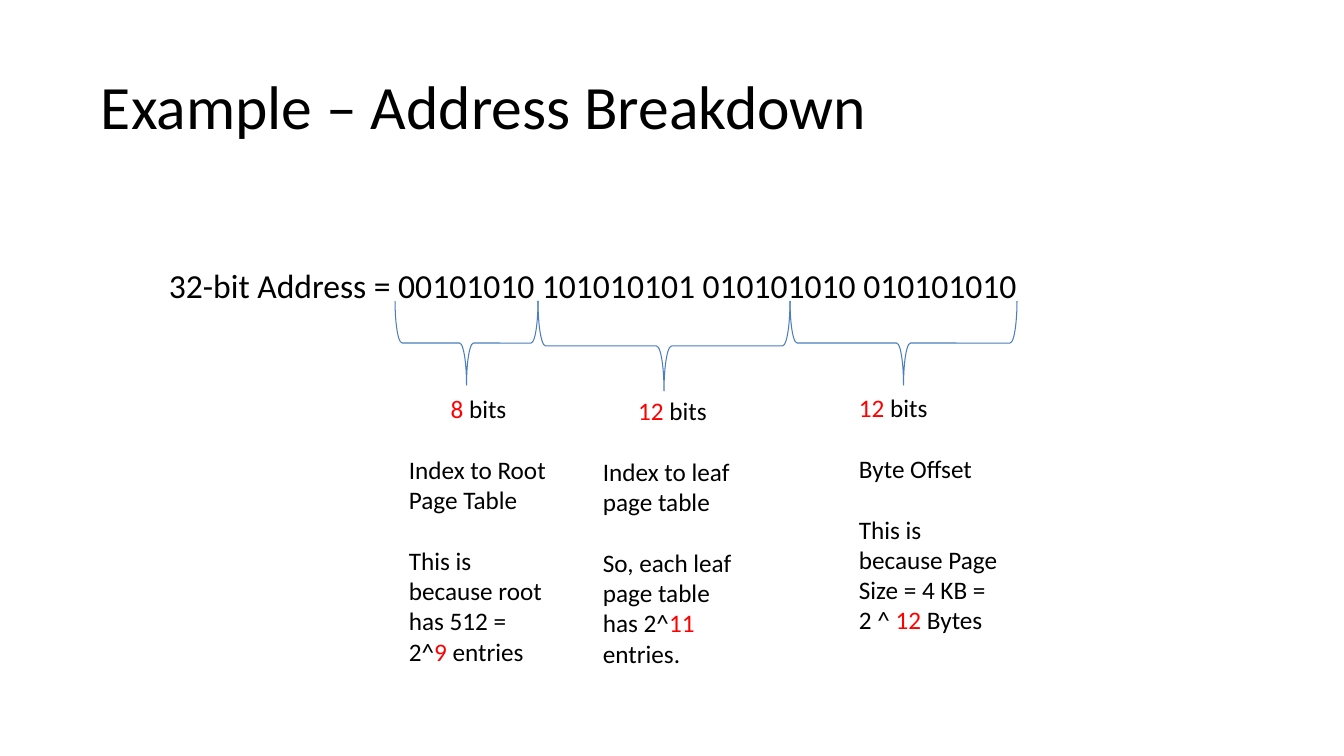
from dataclasses import dataclass

from pptx import Presentation
from pptx.dml.color import RGBColor
from pptx.enum.shapes import MSO_SHAPE
from pptx.enum.text import MSO_ANCHOR, PP_ALIGN
from pptx.util import Emu, Pt

BLACK = RGBColor(0x00, 0x00, 0x00)
RED = RGBColor(0xFF, 0x00, 0x00)
BLUE = RGBColor(0x4B, 0x7E, 0xBC)
FONT = "Calibri"
BRACE_TOP = 301
NOTE_WIDTH = 159
BLANK_LINE = Pt(22)


@dataclass(frozen=True)
class Span:
    text: str
    color: RGBColor = BLACK


@dataclass(frozen=True)
class Field:
    brace_left: int
    brace_width: int
    brace_height: int
    note_left: int
    note_top: int
    note_height: int
    bits: str
    bits_align: PP_ALIGN
    role: str
    reason: tuple[Span, ...]


FIELDS = (
    Field(395, 143, 84, 399, 388, 285, "8", PP_ALIGN.CENTER,
          "Index to Root Page Table",
          (Span("This is because root has 512 = 2^"), Span("9", RED),
           Span(" entries"))),
    Field(538, 252, 90, 593, 390, 285, "12", PP_ALIGN.CENTER,
          "Index to leaf page table ",
          (Span("So, each leaf page table has 2^"), Span("11", RED),
           Span(" entries."))),
    Field(790, 227, 84, 849, 387, 254, "12", PP_ALIGN.LEFT,
          "Byte Offset",
          (Span("This is because Page Size = 4 KB = 2 ^ "), Span("12", RED),
           Span(" Bytes"))),
)


def px(n: float) -> Emu:
    return Emu(round(n * 914400 / 100.8))


def add_runs(p, spans: tuple[Span, ...], size: int) -> None:
    for span in spans:
        r = p.add_run()
        r.text = span.text
        r.font.name = FONT
        r.font.size = Pt(size)
        r.font.color.rgb = span.color


def add_box(left: int, top: int, width: int, height: int):
    tf = s.shapes.add_textbox(px(left), px(top), px(width), px(height)).text_frame
    tf.word_wrap = True
    return tf


def add_brace(field: Field) -> None:
    w, h = field.brace_width, field.brace_height
    shift = (w - h) / 2
    sp = s.shapes.add_shape(MSO_SHAPE.RIGHT_BRACE, px(field.brace_left + shift),
                            px(BRACE_TOP - shift), px(h), px(w))
    sp.rotation = 90
    sp.shadow.inherit = False
    sp.fill.background()
    sp.line.color.rgb = BLUE
    sp.line.width = Pt(0.75)


def add_note(field: Field) -> None:
    tf = add_box(field.note_left, field.note_top, NOTE_WIDTH, field.note_height)
    heading = (Span(field.bits, RED), Span(" bits"))
    p = tf.paragraphs[0]
    p.alignment = field.bits_align
    add_runs(p, heading, 18)
    for spans in ((Span(field.role),), field.reason):
        p = tf.add_paragraph()
        p.space_before = BLANK_LINE
        add_runs(p, spans, 18)


prs = Presentation()
prs.slide_width, prs.slide_height = px(1344), px(756)
s = prs.slides.add_slide(prs.slide_layouts[5])

title = s.shapes.title
title.left, title.top, title.width, title.height = px(101), px(67), px(1066), px(76)
tf = title.text_frame
tf.margin_left = tf.margin_right = tf.margin_bottom = 0
tf.margin_top = px(1)
tf.vertical_anchor = MSO_ANCHOR.TOP
p = tf.paragraphs[0]
p.alignment = PP_ALIGN.LEFT
p.space_before = Pt(1)
add_runs(p, (Span("Example – Address Breakdown"),), 44)

address = add_box(159, 260, 950, 50)
add_runs(address.paragraphs[0],
         (Span("32-bit Address = 00101010 101010101 010101010 010101010"),), 24)

for field in FIELDS:
    add_brace(field)
    add_note(field)

prs.save("out.pptx")
